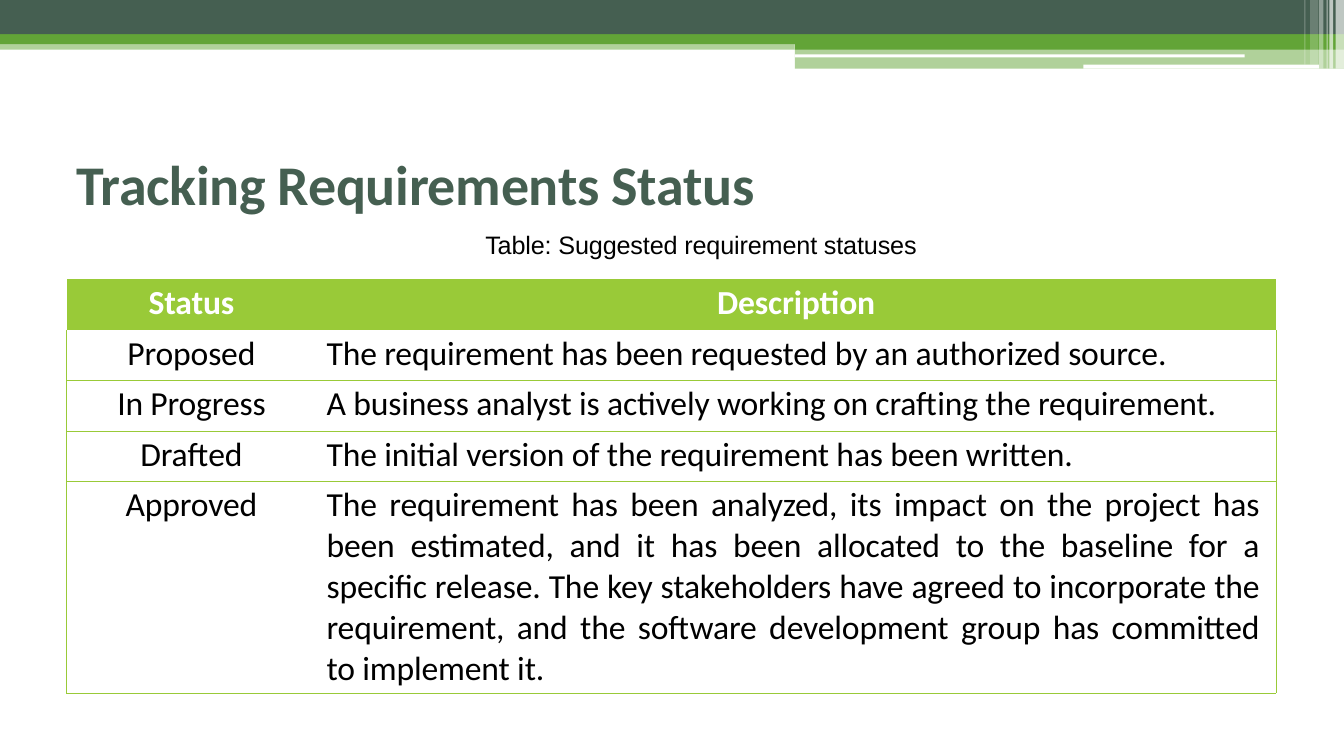
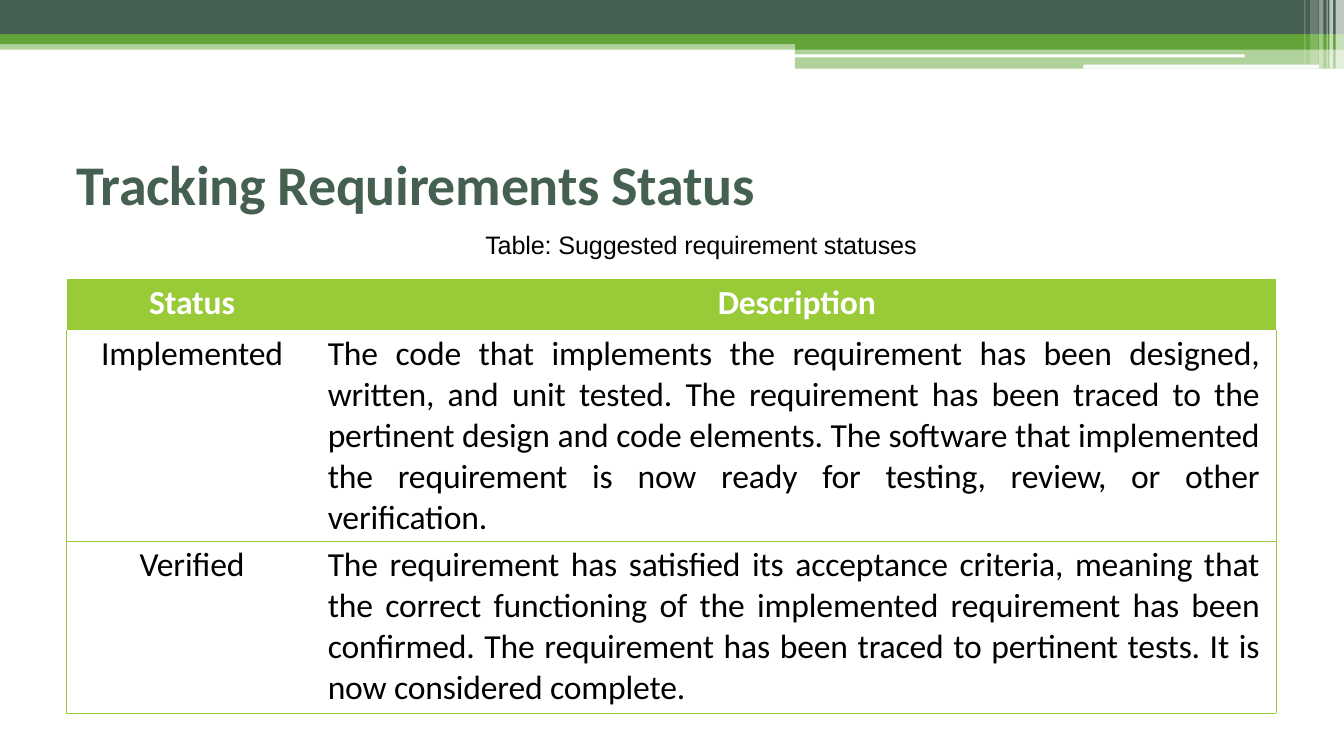
from dataclasses import dataclass

import lxml.etree
import pptx
import pptx.dml.color
import pptx.enum.shapes
import pptx.enum.text
import pptx.oxml.ns
import pptx.presentation
import pptx.shapes.base
import pptx.slide
import pptx.table
import pptx.text.text
import pptx.util

Cm = pptx.util.Cm
Pt = pptx.util.Pt
RGBColor = pptx.dml.color.RGBColor
Align = pptx.enum.text.PP_ALIGN

DARK_GREEN = RGBColor(0x45, 0x5F, 0x51)
GREEN = RGBColor(0x62, 0xA4, 0x37)
LIME = RGBColor(0x99, 0xCA, 0x38)
WHITE = RGBColor(0xFF, 0xFF, 0xFF)
BLACK = RGBColor(0x00, 0x00, 0x00)

SLIDE_WIDTH = 33.87
SLIDE_HEIGHT = 19.05
PLAIN_TABLE_STYLE = "{2D5ABB26-0587-4C30-8999-92F81FD0307C}"


@dataclass(frozen=True)
class Band:
    left: float
    top: float
    width: float
    height: float
    color: RGBColor
    opacity: int = 100


@dataclass(frozen=True)
class TextStyle:
    font: str
    size: int
    color: RGBColor
    bold: bool = False
    tracking: int = -10


@dataclass(frozen=True)
class StatusRow:
    status: str
    description: str
    height: float
    justified: bool = False


@dataclass(frozen=True)
class StatusPage:
    status_width: float
    description_width: float
    center_indent: float
    text_indent: float
    rows: tuple[StatusRow, ...]


TITLE_STYLE = TextStyle("Calibri", 40, DARK_GREEN, True, -20)
CAPTION_STYLE = TextStyle("Arial", 18, BLACK)
HEADER_STYLE = TextStyle("Calibri", 24, WHITE, True)
BODY_STYLE = TextStyle("Calibri", 24, BLACK)

STEP_OUTLINE = (
    (0, 0.86), (SLIDE_WIDTH, 0.86), (SLIDE_WIDTH, 1.25),
    (20.03, 1.25), (20.03, 1.11), (0, 1.11),
)
BANDS = (
    Band(0, 0, SLIDE_WIDTH, 0.86, DARK_GREEN),
    Band(0, 1.11, 20.03, 0.14, GREEN, 50),
    Band(20.03, 1.23, 13.84, 0.5, GREEN, 50),
    Band(20.03, 1.37, 11.34, 0.08, WHITE),
    Band(27.3, 1.63, 5.94, 0.1, WHITE),
    Band(33.5, 0, 0.1, 1.73, WHITE, 65),
    Band(33.66, 0, 0.21, 1.73, WHITE, 65),
    Band(33.43, 0, 0.03, 1.73, WHITE, 60),
    Band(33.24, 0, 0.11, 1.73, WHITE, 40),
    Band(33.02, 0, 0.2, 1.63, WHITE, 20),
    Band(32.87, 0, 0.03, 1.63, WHITE, 30),
)

HEADER = StatusRow("Status", "Description", 1.28)
PAGES = (
    StatusPage(5.79, 24.69, 0.5, 0.76, (
        StatusRow("Proposed", "The requirement has been requested by an authorized source.", 1.27),
        StatusRow("In Progress", "A business analyst is actively working on crafting the requirement.", 1.27),
        StatusRow("Drafted", "The initial version of the requirement has been written.", 1.27),
        StatusRow(
            "Approved",
            "The requirement has been analyzed, its impact on the project has been estimated, "
            "and it has been allocated to the baseline for a specific release. The key "
            "stakeholders have agreed to incorporate the requirement, and the software "
            "development group has committed to implement it.",
            5.33, True,
        ),
    )),
    StatusPage(6.02, 24.46, 0.3, 0.56, (
        StatusRow(
            "Implemented",
            "The code that implements the requirement has been designed, written, and unit "
            "tested. The requirement has been traced to the pertinent design and code elements. "
            "The software that implemented the requirement is now ready for testing, review, "
            "or other verification.",
            5.33, True,
        ),
        StatusRow(
            "Verified",
            "The requirement has satisfied its acceptance criteria, meaning that the correct "
            "functioning of the implemented requirement has been confirmed. The requirement has "
            "been traced to pertinent tests. It is now considered complete.",
            4.32, True,
        ),
    )),
)


def paint(shape: pptx.shapes.base.BaseShape, color: RGBColor, opacity: int = 100) -> None:
    shape.shadow.inherit = False
    shape.line.fill.background()
    shape.fill.solid()
    shape.fill.fore_color.rgb = color
    if opacity < 100:
        color_node = shape.fill._xPr.find(".//" + pptx.oxml.ns.qn("a:srgbClr"))
        alpha = lxml.etree.SubElement(color_node, pptx.oxml.ns.qn("a:alpha"))
        alpha.set("val", str(opacity * 1000))


def draw_bands(page: pptx.slide.Slide) -> None:
    points = [(Cm(x), Cm(y)) for x, y in STEP_OUTLINE]
    builder = page.shapes.build_freeform(*points[0])
    builder.add_line_segments(points[1:])
    paint(builder.convert_to_shape(), GREEN)
    for band in BANDS:
        shape = page.shapes.add_shape(
            pptx.enum.shapes.MSO_SHAPE.RECTANGLE,
            Cm(band.left), Cm(band.top), Cm(band.width), Cm(band.height),
        )
        paint(shape, band.color, band.opacity)


def write(para: pptx.text.text._Paragraph, text: str, style: TextStyle) -> None:
    para.text = text
    for span in para.runs:
        span.font.name = style.font
        span.font.size = Pt(style.size)
        span.font.bold = style.bold
        span.font.color.rgb = style.color
        span._r.get_or_add_rPr().set("spc", str(style.tracking))


def draw_title(page: pptx.slide.Slide) -> None:
    box = page.shapes.add_textbox(Cm(1.92), Cm(3.06), Cm(21.36), Cm(3.5))
    frame = box.text_frame
    frame.word_wrap = True
    frame.margin_left = frame.margin_right = frame.margin_bottom = 0
    frame.margin_top = Cm(0.71)
    write(frame.paragraphs[0], "Tracking Requirements Status", TITLE_STYLE)
    caption = frame.add_paragraph()
    caption._p.get_or_add_pPr().set("marL", str(Cm(10.31)))
    caption.space_before = Pt(8.7)
    write(caption, "Table: Suggested requirement statuses", CAPTION_STYLE)


def set_borders(cell: pptx.table._Cell, sides: str) -> None:
    properties = cell._tc.get_or_add_tcPr()
    for side in sides:
        line = lxml.etree.SubElement(properties, pptx.oxml.ns.qn(f"a:ln{side}"))
        line.set("w", str(Pt(0.5)))
        fill = lxml.etree.SubElement(line, pptx.oxml.ns.qn("a:solidFill"))
        color = lxml.etree.SubElement(fill, pptx.oxml.ns.qn("a:srgbClr"))
        color.set("val", str(LIME))


def fill_cell(
    cell: pptx.table._Cell, text: str, style: TextStyle, alignment: Align, indent: float
) -> None:
    cell.margin_left = Cm(indent)
    cell.margin_right = Cm(0.43) if alignment == Align.JUSTIFY else 0
    cell.margin_top = Cm(0.08)
    cell.margin_bottom = 0
    para = cell.text_frame.paragraphs[0]
    para.alignment = alignment
    write(para, text, style)


def draw_table(page: pptx.slide.Slide, content: StatusPage) -> None:
    rows = (HEADER, *content.rows)
    widths = (content.status_width, content.description_width)
    frame = page.shapes.add_table(
        len(rows), len(widths), Cm(1.68), Cm(7.04),
        Cm(sum(widths)), Cm(sum(row.height for row in rows)),
    )
    table = frame.table
    table._tbl.tblPr.find(pptx.oxml.ns.qn("a:tableStyleId")).text = PLAIN_TABLE_STYLE
    for column, width in zip(table.columns, widths):
        column.width = Cm(width)
    for index, row in enumerate(rows):
        table.rows[index].height = Cm(row.height)
        is_header = row is HEADER
        style = HEADER_STYLE if is_header else BODY_STYLE
        status, description = table.rows[index].cells
        fill_cell(status, row.status, style, Align.CENTER, content.center_indent)
        if is_header:
            fill_cell(description, row.description, style, Align.CENTER, content.center_indent)
        else:
            alignment = Align.JUSTIFY if row.justified else Align.LEFT
            fill_cell(description, row.description, style, alignment, content.text_indent)
            set_borders(status, "LB")
            set_borders(description, "RB")
        for cell in (status, description):
            if is_header:
                cell.fill.solid()
                cell.fill.fore_color.rgb = LIME
            else:
                cell.fill.background()


def add_page(deck: pptx.presentation.Presentation, content: StatusPage) -> None:
    page = deck.slides.add_slide(deck.slide_layouts[6])
    draw_bands(page)
    draw_title(page)
    draw_table(page, content)


def main() -> None:
    deck = pptx.Presentation()
    deck.slide_width = Cm(SLIDE_WIDTH)
    deck.slide_height = Cm(SLIDE_HEIGHT)
    for content in PAGES:
        add_page(deck, content)
    deck.save("out.pptx")


if __name__ == "__main__":
    main()
